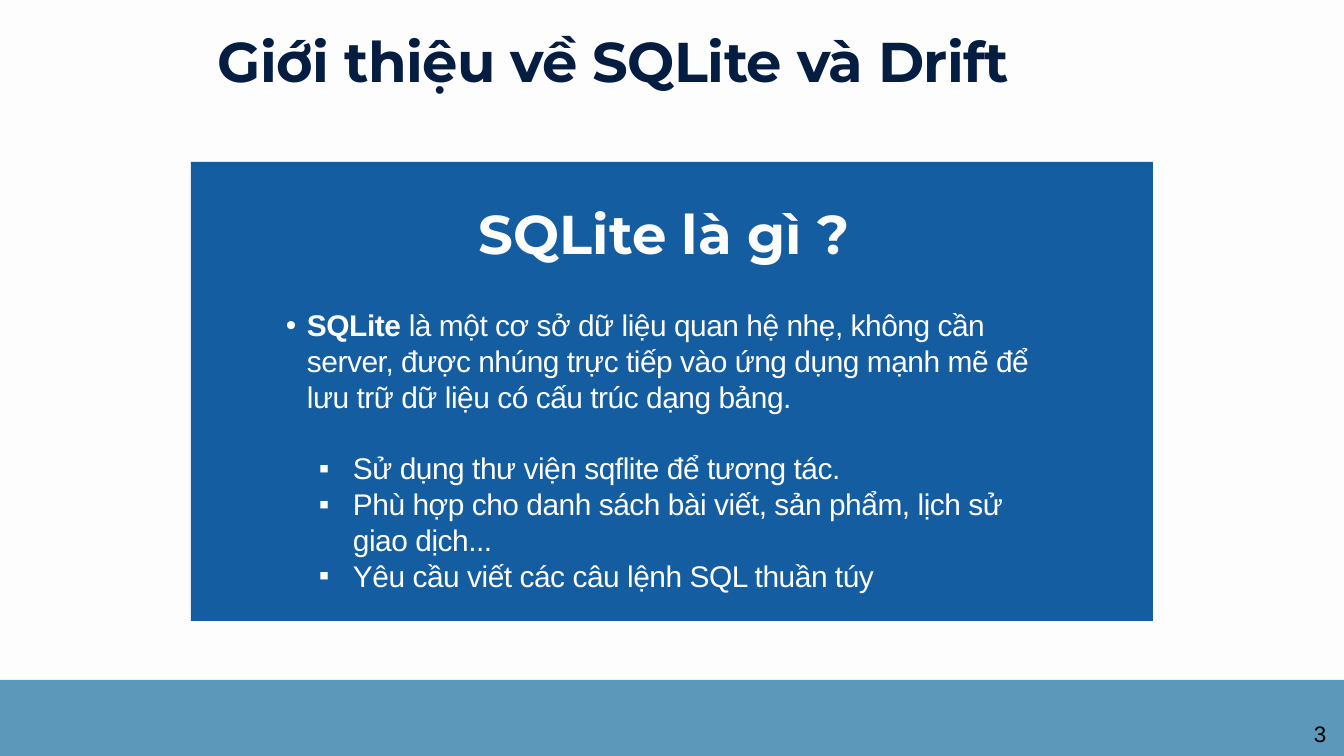
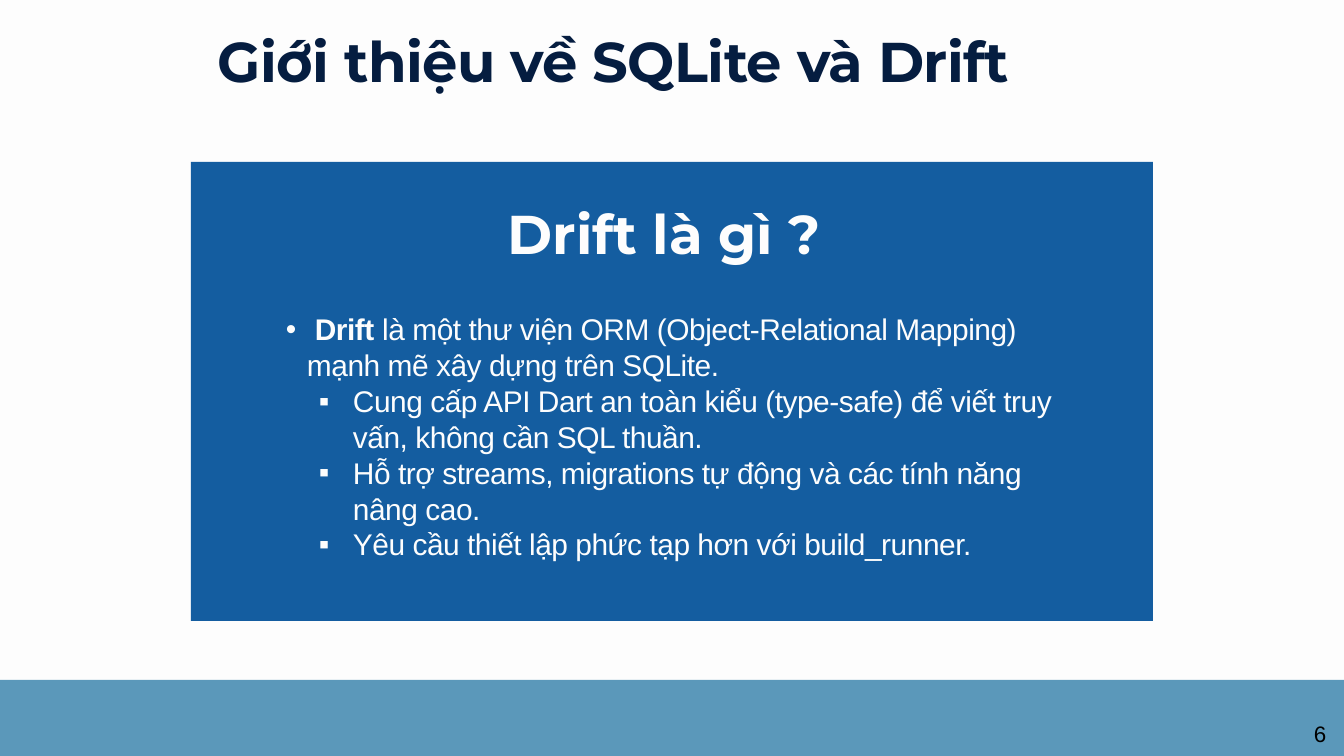
"""Build the two slides that introduce SQLite and Drift."""
from lxml.etree import SubElement
from pptx import Presentation
from pptx.dml.color import RGBColor
from pptx.enum.shapes import MSO_SHAPE as Shape
from pptx.enum.text import MSO_ANCHOR as Anchor, MSO_AUTO_SIZE as AutoSize, PP_ALIGN as Align
from pptx.oxml.ns import qn
from pptx.util import Pt

PX = 914400 / 67.2
WIDTH, HEIGHT = 1344, 756
PAPER, BAND, PANEL, NAVY, BLACK = "FDFDFD", "5B98BA", "145DA0", "051D40", "000000"
HEADING_FONT, BODY_FONT = "Montserrat", "Arial"
TITLE = "Giới thiệu về SQLite và Drift"
BODY_SIZE, BODY_SPACING = 32, -0.5
TOPICS = [
    {
        "number": "3",
        "heading": "SQLite là gì ?",
        "area": (286, 307, 771, 357),
        "term": "SQLite ",
        "meaning": "là một cơ sở dữ liệu quan hệ nhẹ, không cần server, được nhúng trực tiếp "
                   "vào ứng dụng mạnh mẽ để lưu trữ dữ liệu có cấu trúc dạng bảng.",
        "gap": 38,
        "points": [
            "Sử dụng thư viện sqflite để tương tác.",
            "Phù hợp cho danh sách bài viết, sản phẩm, lịch sử giao dịch...",
            "Yêu cầu viết các câu lệnh SQL thuần túy",
        ],
    },
    {
        "number": "6",
        "heading": "Drift là gì ?",
        "area": (286, 311, 771, 253),
        "term": " Drift ",
        "meaning": "là một thư viện ORM (Object-Relational Mapping) mạnh mẽ xây dựng trên SQLite.",
        "gap": 0,
        "points": [
            "Cung cấp API Dart an toàn kiểu (type-safe) để viết truy vấn, không cần SQL thuần.",
            "Hỗ trợ streams, migrations tự động và các tính năng nâng cao.",
            "Yêu cầu thiết lập phức tạp hơn với build_runner.",
        ],
    },
]


def px(length):
    """Turn pixels into EMU."""
    return round(length * PX)


def color(code):
    """Turn a hex string into a colour."""
    return RGBColor.from_string(code)


def add_block(page, area, fill):
    """Add a plain filled rectangle."""
    block = page.shapes.add_shape(Shape.RECTANGLE, *map(px, area))
    block.shadow.inherit = False
    block.fill.solid()
    block.fill.fore_color.rgb = color(fill)
    block.line.fill.background()


def add_frame(page, area, inset=True, grow=True):
    """Add a wrapping text box and return its text frame."""
    frame = page.shapes.add_textbox(*map(px, area)).text_frame
    frame.word_wrap = True
    frame.auto_size = AutoSize.SHAPE_TO_FIT_TEXT if grow else AutoSize.NONE
    if not inset:
        frame.margin_left = frame.margin_top = frame.margin_right = frame.margin_bottom = 0
    return frame


def style_span(span, font, size, fill, bold=False, spacing=0):
    """Format one run, with letter spacing in points."""
    span.font.name = font
    span.font.size = Pt(size)
    span.font.bold = bold
    span.font.color.rgb = color(fill)
    if spacing:
        span.font._element.set("spc", str(round(spacing * 100)))


def add_line(frame, text, align, leading, *style):
    """Fill a frame with one styled paragraph."""
    para = frame.paragraphs[0]
    para.text = text
    para.alignment = align
    if leading:
        para.line_spacing = Pt(leading)
    style_span(para.runs[0], *style)


def set_bullet(para, sign, left, hang):
    """Give a paragraph a hanging bullet."""
    properties = para._p.get_or_add_pPr()
    properties.set("marL", str(px(left)))
    properties.set("indent", str(-px(hang)))
    SubElement(properties, qn("a:buFont"), typeface=BODY_FONT)
    SubElement(properties, qn("a:buChar"), char=sign)


def add_body(page, topic):
    """Add the definition and its supporting points."""
    frame = add_frame(page, topic["area"], inset=False)
    lead = frame.paragraphs[0]
    set_bullet(lead, "•", 21, 21)
    for text, bold in ((topic["term"], True), (topic["meaning"], False)):
        span = lead.add_run()
        span.text = text
        style_span(span, BODY_FONT, BODY_SIZE, PAPER, bold, BODY_SPACING)
    lead.space_after = Pt(topic["gap"])
    for point in topic["points"]:
        para = frame.add_paragraph()
        para.text = point
        para.level = 1
        set_bullet(para, "▪", 67, 34)
        style_span(para.runs[0], BODY_FONT, BODY_SIZE, PAPER, False, BODY_SPACING)


def add_topic(deck, topic):
    """Add one slide with its shared title, band and number."""
    page = deck.slides.add_slide(deck.slide_layouts[6])
    page.background.fill.solid()
    page.background.fill.fore_color.rgb = color(PAPER)
    add_block(page, (-14, 680, WIDTH + 14, HEIGHT - 680), BAND)
    add_block(page, (191, 162, 962, 459), PANEL)
    heading = add_frame(page, (453, 189, 423, 74), inset=False)
    add_line(heading, topic["heading"], Align.CENTER, 82, HEADING_FONT, 58.5, PAPER, True)
    add_body(page, topic)
    title = add_frame(page, (211, 53, 922, 49))
    add_line(title, TITLE, Align.LEFT, 40, HEADING_FONT, 60, NAVY, True, -0.6)
    number = add_frame(page, (1176, 720, 157, 27), grow=False)
    number.vertical_anchor = Anchor.MIDDLE
    add_line(number, topic["number"], Align.RIGHT, None, BODY_FONT, 24, BLACK)


def main():
    """Build and save the deck."""
    deck = Presentation()
    deck.slide_width, deck.slide_height = px(WIDTH), px(HEIGHT)
    for topic in TOPICS:
        add_topic(deck, topic)
    deck.save("out.pptx")


if __name__ == "__main__":
    main()
